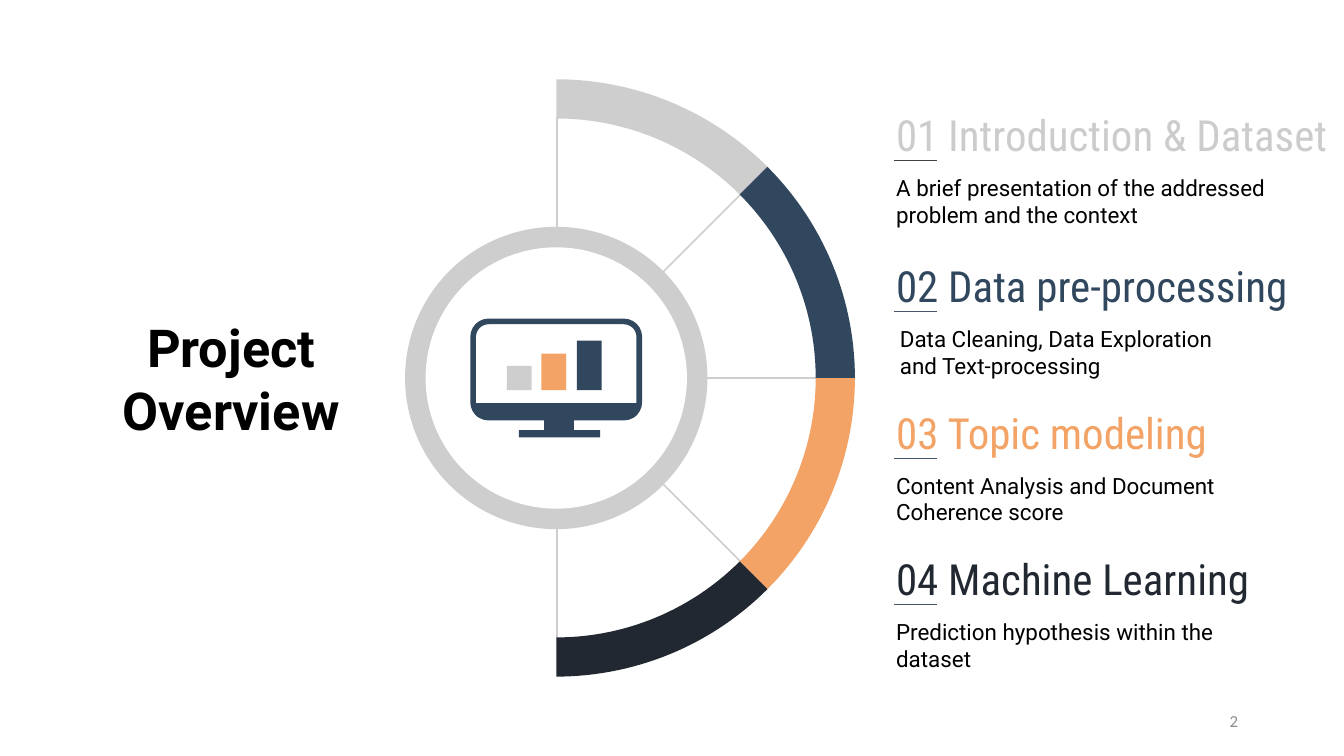
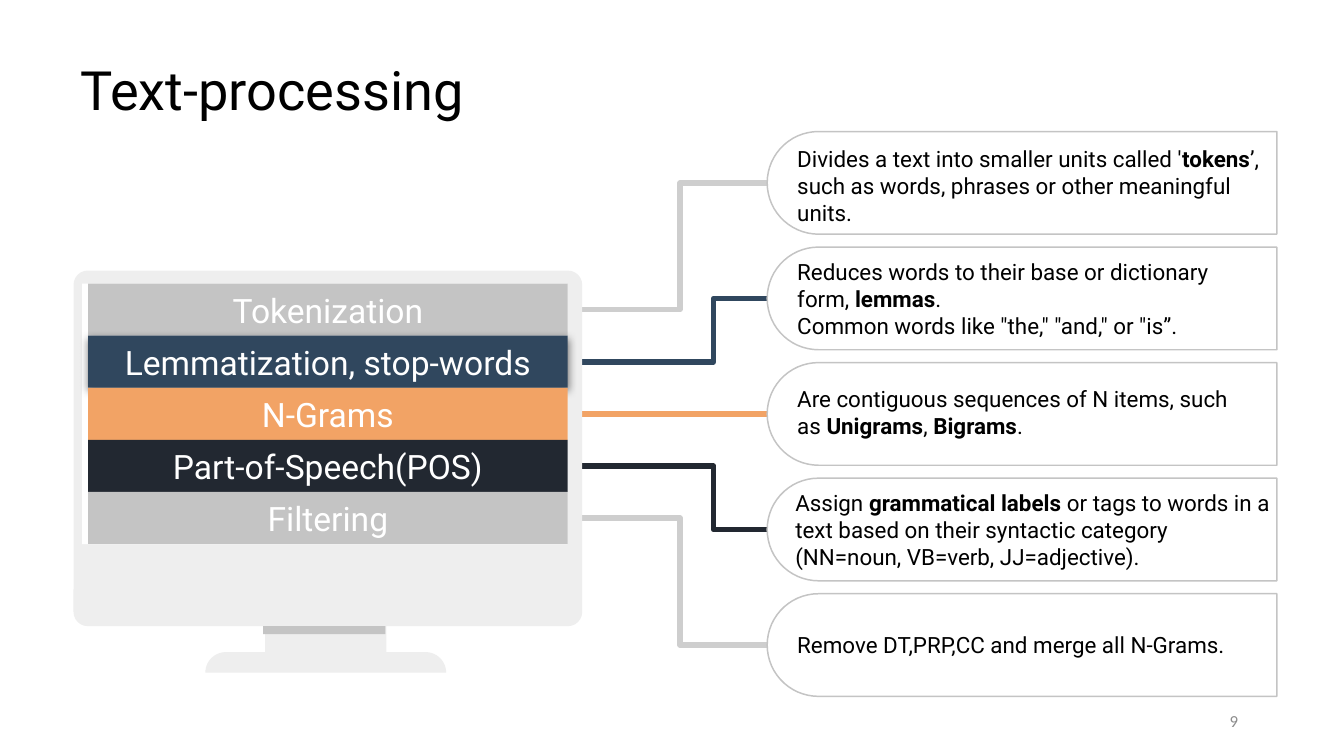
"""Build the project overview slide and the text-processing slide."""
from math import cos, radians, sin

from pptx import Presentation
from pptx.dml.color import RGBColor
from pptx.enum.shapes import MSO_CONNECTOR, MSO_SHAPE as SHAPE
from pptx.enum.text import MSO_ANCHOR as ANCHOR, PP_ALIGN as ALIGN
from pptx.oxml import parse_xml
from pptx.oxml.ns import nsdecls, qn
from pptx.oxml.xmlchemy import OxmlElement
from pptx.util import Pt

NAVY, ORANGE, INK = "30475E", "F2A365", "222831"
SILVER, GREY, PALE, WHITE, BLACK = "CECECE", "C4C4C4", "EEEEEE", "FFFFFF", "000000"
BODY, CONDENSED, FOOTER = "Roboto", "Roboto Condensed", "Calibri"

TOPICS = [
    dict(head="01 Introduction & Dataset", body="A brief presentation of the addressed problem and the context",
         colour="CCCCCC", arc=SILVER, rule="434343", top=58, widths=(263, 217.5), left=473),
    dict(head="02 Data pre-processing", body="Data Cleaning, Data Exploration and Text-processing",
         colour=NAVY, arc=NAVY, rule="44546A", top=139, widths=(232.5, 190), left=475),
    dict(head="03 Topic modeling", body="Content Analysis and Document Coherence score",
         colour=ORANGE, arc=ORANGE, rule="44546A", top=217.5, widths=(190, 190), left=473),
    dict(head="04 Machine Learning", body="Prediction hypothesis within the dataset",
         colour=INK, arc=INK, rule="44546A", top=296, widths=(211, 190), left=473),
]
BARS = [(271.5, 13, SILVER), (290, 19.5, ORANGE), (309, 26.5, NAVY)]

STEPS = [
    dict(name="Tokenization", fill=GREY, wire=SILVER, turn=364.3, box=(420, 75.3, 270, 48),
         text="Divides a text into smaller units called '**tokens**’, such as words, phrases or other meaningful units."),
    dict(name="Lemmatization, stop-words", fill=NAVY, wire=NAVY, turn=382.3, box=(420, 135, 264, 50),
         text="Reduces words to their base or dictionary form, **lemmas**.\n"
              "Common words like \"the,\" \"and,\" or \"is”."),
    dict(name="N-Grams", fill=ORANGE, wire=ORANGE, turn=None, box=(420, 202.2, 249, 37),
         text="Are contiguous sequences of N items, such as **Unigrams**, **Bigrams**."),
    dict(name="Part-of-Speech(POS)", fill=INK, wire=INK, turn=382.3, box=(419, 258.2, 270, 51),
         text="Assign **grammatical labels **or tags to words in a text based on their "
              "syntactic category (NN=noun, VB=verb, JJ=adjective)."),
    dict(name="Filtering", fill=GREY, wire=SILVER, turn=364.3, box=(420, 327, 264, 37),
         text="Remove DT,PRP,CC and merge all N-Grams."),
]


def rgb(value):
    """Return a colour from a hex string."""
    return RGBColor.from_string(value)


def write(sp, text, size=12, font=BODY, colour=BLACK, bold=False, align=ALIGN.LEFT, anchor=ANCHOR.MIDDLE):
    """Fill a shape with text; double asterisks toggle bold and newlines break the line."""
    tf = sp.text_frame
    tf.word_wrap = True
    tf.vertical_anchor = anchor
    tf.margin_left = tf.margin_right = tf.margin_top = tf.margin_bottom = Pt(7.2)
    p = tf.paragraphs[0]
    p.alignment = align
    for i, chunk in enumerate(text.split("**")):
        for j, line in enumerate(chunk.split("\n")):
            if j:
                p.add_line_break()
            r = p.add_run()
            r.text = line
            r.font.size, r.font.name = Pt(size), font
            r.font.bold = bold or i % 2 == 1
            r.font.color.rgb = rgb(colour)


def label(slide, box, text, **fmt):
    """Add a text box."""
    write(slide.shapes.add_textbox(*map(Pt, box)), text, **fmt)


def paint(sp, fill=None, line=None, width=0.8):
    """Set fill and outline and drop the theme shadow."""
    sp.shadow.inherit = False
    if fill:
        sp.fill.solid()
        sp.fill.fore_color.rgb = rgb(fill)
    else:
        sp.fill.background()
    if line:
        sp.line.color.rgb = rgb(line)
        sp.line.width = Pt(width)
    else:
        sp.line.fill.background()
    return sp


def block(slide, kind, box, fill, **outline):
    """Add a preset shape."""
    return paint(slide.shapes.add_shape(kind, *map(Pt, box)), fill, **outline)


def outline(slide, points, close=True, **style):
    """Add a freeform through points."""
    pts = [(Pt(x), Pt(y)) for x, y in points]
    builder = slide.shapes.build_freeform(*pts[0], scale=1.0)
    builder.add_line_segments(pts[1:], close=close)
    return paint(builder.convert_to_shape(), **style)


def rule(slide, start, end, colour, width):
    """Add a straight line without shadow."""
    line = slide.shapes.add_connector(MSO_CONNECTOR.STRAIGHT, *map(Pt, (*start, *end)))
    line.line.color.rgb = rgb(colour)
    line.line.width = Pt(width)
    line._element.spPr.append(OxmlElement("a:effectLst"))


def polar(cx, cy, radius, angle):
    """Return the point at a clockwise angle from the right."""
    return cx + radius * cos(radians(angle)), cy + radius * sin(radians(angle))


def arc(cx, cy, radius, start, end, steps=30):
    """Return points along an arc."""
    return [polar(cx, cy, radius, start + (end - start) * i / steps) for i in range(steps + 1)]


def cast_shadow(sp):
    """Give a shape a soft shadow below it."""
    effects = sp._element.spPr.find(qn("a:effectLst"))
    effects.append(parse_xml(
        f'<a:outerShdw {nsdecls("a")} blurRad="{Pt(4.5)}" dist="{Pt(1.5)}" dir="5400000" algn="bl" '
        'rotWithShape="0"><a:srgbClr val="000000"><a:alpha val="50000"/></a:srgbClr></a:outerShdw>'))


def new_slide(prs, number):
    """Add a blank slide with its page number."""
    slide = prs.slides.add_slide(prs.slide_layouts[6])
    label(slide, (508.3, 375.3, 162, 21.6), number, size=9, font=FOOTER, colour="8C8C8C", align=ALIGN.RIGHT)
    return slide


def overview(prs):
    """Draw the half wheel and the list of topics."""
    slide = new_slide(prs, "2")
    cx, cy = 298, 202.5
    for radius, fill in ((81, SILVER), (70, WHITE)):
        block(slide, SHAPE.OVAL, (cx - radius, cy - radius, 2 * radius, 2 * radius), fill)

    frame = block(slide, SHAPE.ROUNDED_RECTANGLE, (253.5, 172.2, 89, 51.5), WHITE, line=NAVY, width=3)
    frame.adjustments[0] = 0.16
    chin = block(slide, SHAPE.ROUND_2_SAME_RECTANGLE, (254, 216, 88, 8), NAVY)
    chin.adjustments[0], chin.adjustments[1] = 0, 0.5
    block(slide, SHAPE.RECTANGLE, (291.5, 217, 16, 15.5), NAVY)
    block(slide, SHAPE.RECTANGLE, (278, 230.4, 43.6, 4), NAVY)
    for x, height, fill in BARS:
        block(slide, SHAPE.RECTANGLE, (x, 209 - height, 13.3, height), fill)

    for i in range(len(TOPICS) + 1):
        angle = -90 + 45 * i
        rule(slide, polar(cx + 0.4, cy, 78, angle), polar(cx + 0.4, cy, 140, angle), SILVER, 0.8)
    for i, topic in enumerate(TOPICS):
        start, end = -90 + 45 * i, -45 + 45 * i
        outline(slide, arc(cx, cy, 160, start, end) + arc(cx, cy, 139, end, start), fill=topic["arc"])

    label(slide, (36, 105, 175.7, 195), "Project Overview", size=28, bold=True, align=ALIGN.CENTER)
    for topic in TOPICS:
        top, (head_width, body_width) = topic["top"], topic["widths"]
        label(slide, (473, top, head_width, 28), topic["head"], size=23, font=CONDENSED, colour=topic["colour"])
        label(slide, (topic["left"], top + 28, body_width, 36), topic["body"], anchor=ANCHOR.TOP)
        rule(slide, (479, top + 28), (502, top + 28), topic["rule"], 0.75)


def text_processing(prs):
    """Draw the monitor with its steps, wired to their descriptions."""
    slide = new_slide(prs, "9")
    row_top, row_height = 152, 27.9
    card_left, card_right, card_top, card_height, pitch = 411, 684, 70.5, 55, 61.9
    radius = card_height / 2

    for i, step in enumerate(STEPS):
        row_y = row_top + row_height * (i + 0.5)
        card_y = card_top + pitch * i + radius
        start, end, turn = (311, row_y), (412, card_y), step["turn"]
        if turn:
            outline(slide, [start, (turn, row_y), (turn, card_y), end], close=False, line=step["wire"], width=2.9)
        else:
            rule(slide, start, (end[0], row_y), step["wire"], 2.9)
        curve = arc(card_left + radius, card_y, radius, 90, 270)
        corners = [(card_right, card_y - radius), (card_right, card_y + radius)]
        outline(slide, curve + corners, fill=WHITE, line=GREY)
        label(slide, step["box"], step["text"])

    monitor = block(slide, SHAPE.ROUNDED_RECTANGLE, (39.4, 145, 272.5, 190.5), PALE)
    monitor.adjustments[0] = 0.04
    block(slide, SHAPE.RECTANGLE, (44, row_top, 260, row_height * len(STEPS)), WHITE)
    block(slide, SHAPE.RECTANGLE, (142, 335.5, 65, 14), PALE)
    outline(slide, arc(121, 360.4, 11, 180, 270) + arc(228, 360.4, 11, 270, 360), fill=PALE)
    block(slide, SHAPE.RECTANGLE, (141, 335.5, 65.5, 4.3), GREY)

    for i, step in enumerate(STEPS):
        row = block(slide, SHAPE.RECTANGLE, (47.2, row_top + row_height * i, 257, row_height), step["fill"])
        write(row, step["name"], size=18, colour=WHITE, align=ALIGN.CENTER)
        if step["fill"] == NAVY:
            cast_shadow(row)
    label(slide, (36, 32.4, 383, 30), "Text-processing", size=29)


def main():
    """Build and save the presentation."""
    prs = Presentation()
    prs.slide_width, prs.slide_height = Pt(720), Pt(405)
    overview(prs)
    text_processing(prs)
    prs.save("out.pptx")


if __name__ == "__main__":
    main()
